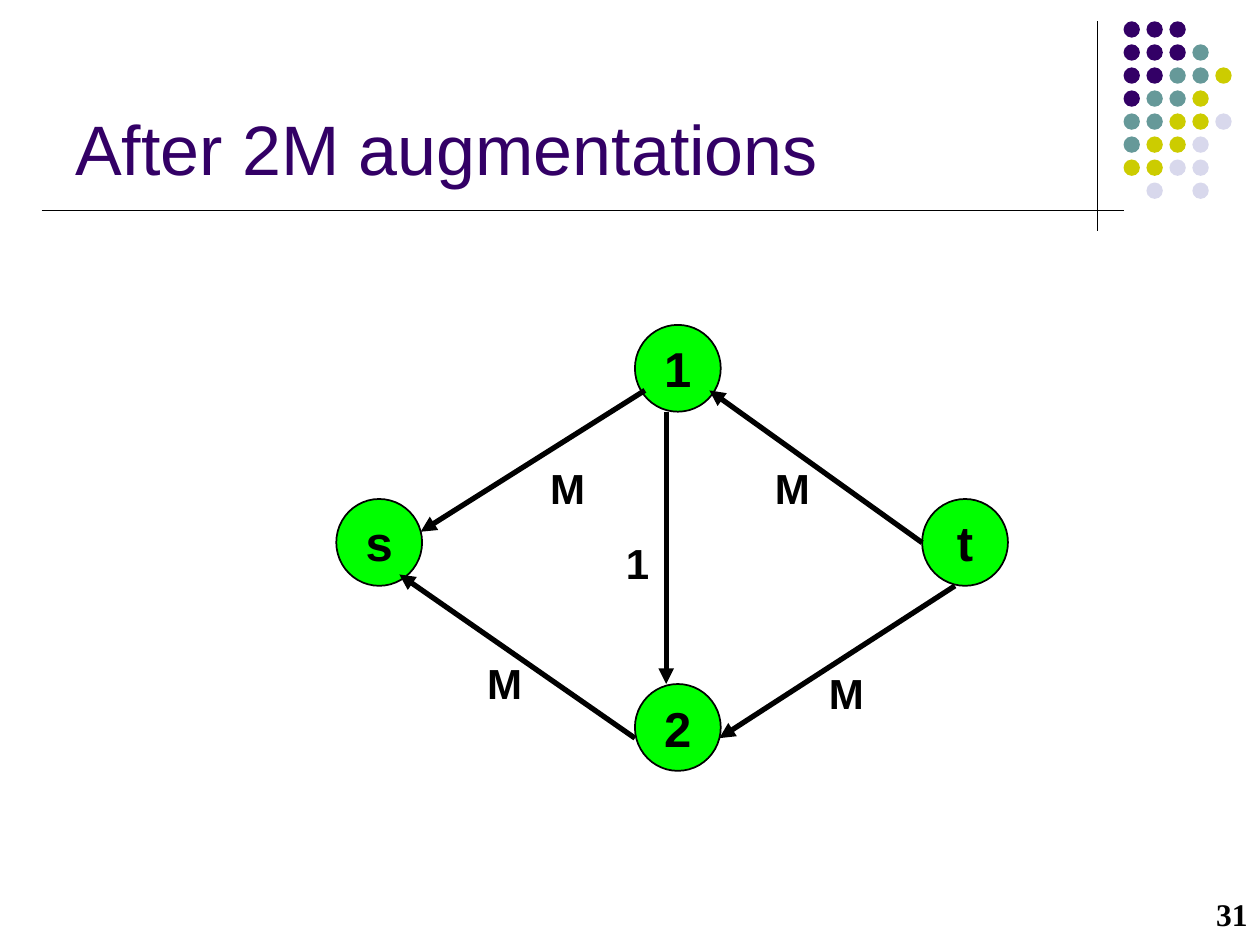
from dataclasses import dataclass

from lxml import etree
from pptx import Presentation
from pptx.dml.color import RGBColor
from pptx.enum.shapes import MSO_CONNECTOR, MSO_SHAPE
from pptx.enum.text import MSO_ANCHOR, PP_ALIGN
from pptx.oxml.ns import qn
from pptx.util import Cm, Pt

STRAIGHT = MSO_CONNECTOR.STRAIGHT
OVAL = MSO_SHAPE.OVAL
TOP, MIDDLE, BOTTOM = MSO_ANCHOR.TOP, MSO_ANCHOR.MIDDLE, MSO_ANCHOR.BOTTOM
LEFT, CENTER, RIGHT = PP_ALIGN.LEFT, PP_ALIGN.CENTER, PP_ALIGN.RIGHT


@dataclass(frozen=True)
class Theme:
    black: str = "000000"
    title: str = "330066"
    node: str = "00FF00"
    purple: str = "330066"
    teal: str = "669999"
    olive: str = "CCCC00"
    lilac: str = "D8D8EC"
    font: str = "Arial"
    number_font: str = "Times New Roman"
    title_size: int = 40
    node_size: int = 28
    label_size: int = 24
    number_size: int = 18
    rule_width: float = 0.75
    node_line: float = 1
    edge_width: float = 3


@dataclass(frozen=True)
class Box:
    """A region in centimetres."""
    left: float
    top: float
    width: float
    height: float

    def lengths(self):
        return Cm(self.left), Cm(self.top), Cm(self.width), Cm(self.height)

    def inner(self, x, y, width, height):
        return Box(self.left + x, self.top + y, width, height)


THEME = Theme()

DOT_ROWS = ("PPP", "PPPT", "PPTTO", "PTTO", "TTOOL", "TOOL", "OOLL", " L L")
DOT_COLORS = {"P": THEME.purple, "T": THEME.teal, "O": THEME.olive, "L": THEME.lilac}
DOT_SIZE = 0.33

NODE_SIZE = (1.73, 1.75)
NODES = {"s": (0, 3.51), "1": (6.02, 0), "2": (6.02, 7.24), "t": (11.81, 3.51)}

LABEL_SIZE = (1.5, 1.27)
# start, end, label, label position
EDGES = (
    ((12.47, 5.26), (7.72, 8.33), "M", (9.68, 6.78)),
    ((6.22, 1.32), (1.7, 4.17), "M", (4.06, 2.64)),
    ((6.02, 8.33), (1.27, 5.03), "M", (2.79, 6.58)),
    ((11.81, 4.39), (7.52, 1.32), "M", (8.59, 2.64)),
    ((6.65, 1.75), (6.65, 7.24), "1", (5.59, 4.17)),
)


def write_text(shape, text, size, color=THEME.black, font=THEME.font,
               bold=True, align=LEFT, anchor=TOP, wrap=True):
    frame = shape.text_frame
    frame.text = text
    frame.word_wrap = wrap
    frame.vertical_anchor = anchor
    paragraph = frame.paragraphs[0]
    paragraph.alignment = align
    run_font = paragraph.runs[0].font
    run_font.name = font
    run_font.size = Pt(size)
    run_font.bold = bold
    run_font.color.rgb = RGBColor.from_string(color)


def add_text(slide, box, text, size, **style):
    write_text(slide.shapes.add_textbox(*box.lengths()), text, size, **style)


def add_oval(slide, box, fill):
    oval = slide.shapes.add_shape(OVAL, *box.lengths())
    oval.shadow.inherit = False
    oval.fill.solid()
    oval.fill.fore_color.rgb = RGBColor.from_string(fill)
    oval.line.fill.background()
    return oval


def add_line(slide, start, end, width, arrow=False):
    connector = slide.shapes.add_connector(
        STRAIGHT, *(Cm(value) for value in (*start, *end)))
    connector.line.color.rgb = RGBColor.from_string(THEME.black)
    connector.line.width = Pt(width)
    properties = connector._element.spPr
    if arrow:
        etree.SubElement(properties.find(qn("a:ln")), qn("a:tailEnd"), type="triangle")
    etree.SubElement(properties, qn("a:effectLst"))


def add_rules(slide, box):
    """Horizontal rule under the title, crossed by a vertical one."""
    vertical_x = box.left + 21.29
    horizontal_y = box.top + 3.81
    add_line(slide, (vertical_x, box.top), (vertical_x, box.top + box.height),
             THEME.rule_width)
    add_line(slide, (box.left, horizontal_y), (box.left + box.width, horizontal_y),
             THEME.rule_width)


def add_dot_pattern(slide, box):
    column_step = (box.width - DOT_SIZE) / (max(map(len, DOT_ROWS)) - 1)
    row_step = (box.height - DOT_SIZE) / (len(DOT_ROWS) - 1)
    for row, codes in enumerate(DOT_ROWS):
        for column, code in enumerate(codes):
            if code in DOT_COLORS:
                dot = box.inner(column * column_step, row * row_step, DOT_SIZE, DOT_SIZE)
                add_oval(slide, dot, DOT_COLORS[code])


def add_network(slide, box):
    for name, position in NODES.items():
        node = add_oval(slide, box.inner(*position, *NODE_SIZE), THEME.node)
        node.line.color.rgb = RGBColor.from_string(THEME.black)
        node.line.width = Pt(THEME.node_line)
        write_text(node, name, THEME.node_size, align=CENTER, anchor=MIDDLE, wrap=False)
    for start, end, label, position in EDGES:
        start, end = ((box.left + x, box.top + y) for x, y in (start, end))
        add_line(slide, start, end, THEME.edge_width, arrow=True)
        add_text(slide, box.inner(*position, *LABEL_SIZE), label, THEME.label_size)


def main():
    presentation = Presentation()
    presentation.slide_width, presentation.slide_height = Cm(25.4), Cm(19.05)
    slide = presentation.slides.add_slide(presentation.slide_layouts[6])
    add_rules(slide, Box(0.84, 0.43, 21.82, 4.22))
    add_dot_pattern(slide, Box(22.65, 0.43, 2.18, 3.58))
    add_text(slide, Box(20.52, 17.78, 4.88, 1.27), "31", THEME.number_size,
             font=THEME.number_font, align=RIGHT, anchor=MIDDLE)
    add_text(slide, Box(1.27, 0.33, 20.96, 3.61), "After 2M augmentations",
             THEME.title_size, color=THEME.title, bold=False, anchor=BOTTOM)
    add_network(slide, Box(6.78, 6.55, 13.54, 8.99))
    presentation.save("out.pptx")


if __name__ == "__main__":
    main()
